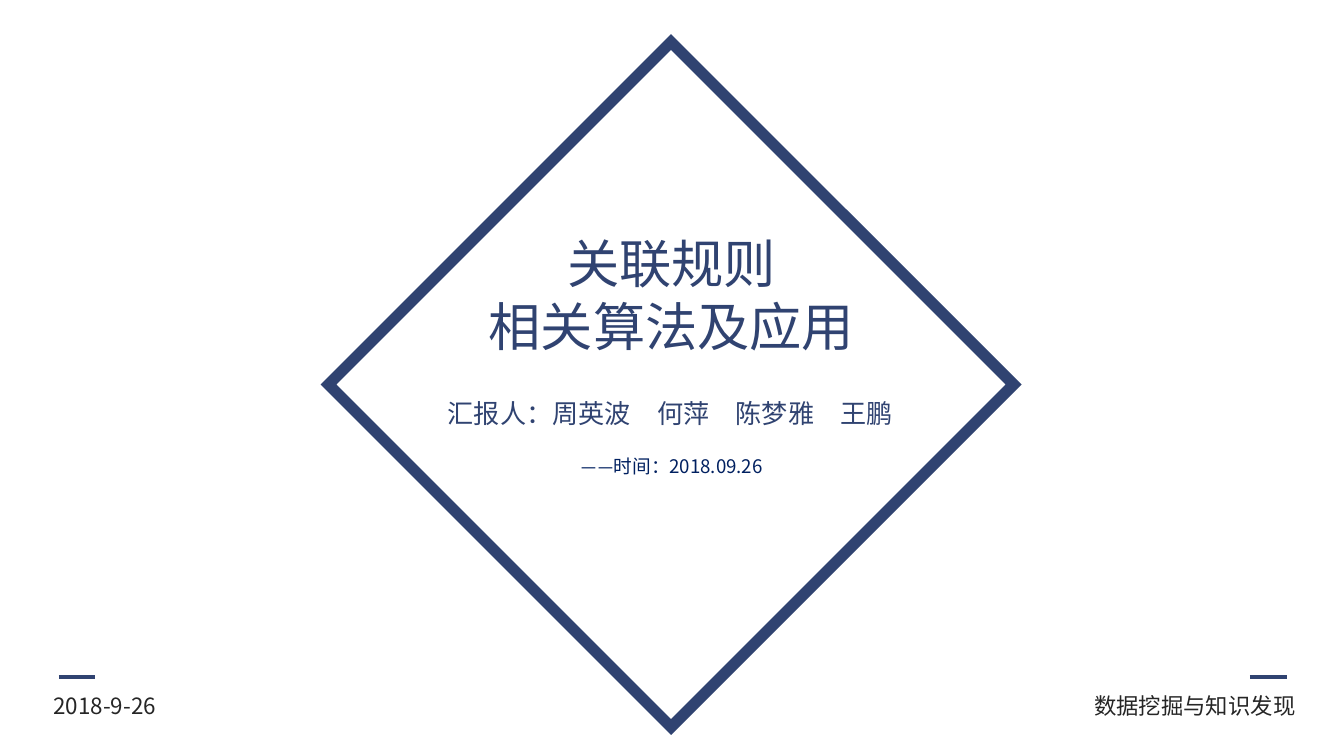
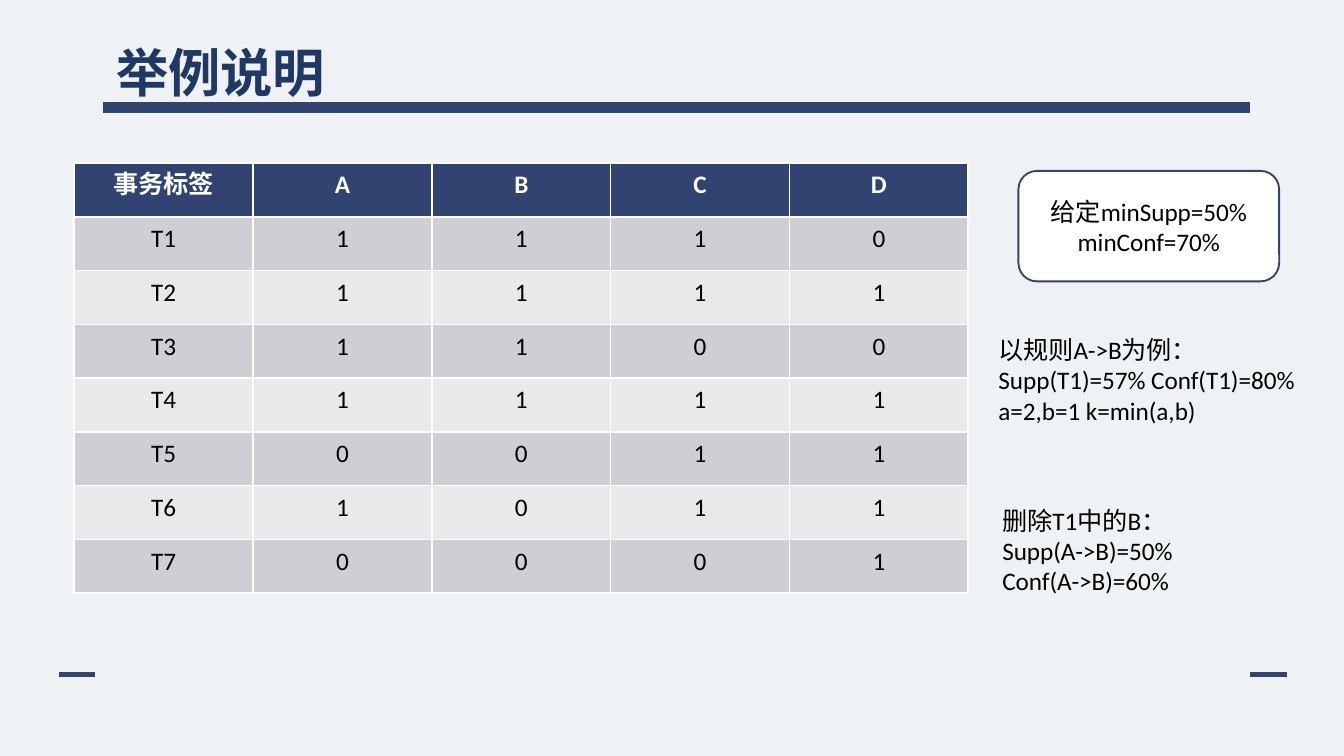
from lxml.etree import SubElement
from pptx import Presentation
from pptx.dml.color import RGBColor
from pptx.enum.shapes import MSO_CONNECTOR, MSO_SHAPE
from pptx.enum.text import MSO_ANCHOR, PP_ALIGN
from pptx.oxml.ns import qn
from pptx.util import Pt

COLORS = {
    "navy": "304371", "heading": "203864", "date": "002060", "footer": "262626",
    "black": "000000", "white": "FFFFFF", "pale": "EEF2F5",
    "odd_row": "CDCFD5", "even_row": "E8E9EB",
}
COLORS = {name: RGBColor.from_string(value) for name, value in COLORS.items()}
CJK, LATIN = "Noto Sans CJK SC", "Calibri"
LEFT, CENTER, RIGHT = PP_ALIGN.LEFT, PP_ALIGN.CENTER, PP_ALIGN.RIGHT


def write(frame, paragraphs, size, color, font=LATIN, align=LEFT, bold=False, wrap=True):
    frame.word_wrap = wrap
    for number, lines in enumerate(paragraphs):
        paragraph = frame.add_paragraph() if number else frame.paragraphs[0]
        paragraph.alignment = align
        for line_number, line in enumerate(lines.split("\n")):
            if line_number:
                paragraph.add_line_break()
            run = paragraph.add_run()
            run.text = line
            run.font.size = Pt(size)
            run.font.name = font
            run.font.bold = bold
            run.font.color.rgb = COLORS[color]
            SubElement(run.font._element, qn("a:ea"), typeface=LATIN)
    return frame


def rule(slide, left, right, y, weight):
    line = slide.shapes.add_connector(
        MSO_CONNECTOR.STRAIGHT, Pt(left), Pt(y), Pt(right), Pt(y))
    line.line.color.rgb = COLORS["navy"]
    line.line.width = Pt(weight)
    SubElement(line._element.spPr, qn("a:effectLst"))


presentation = Presentation()
presentation.slide_width = Pt(720)
presentation.slide_height = Pt(405)
blank = presentation.slide_layouts[6]
cover = presentation.slides.add_slide(blank)
example = presentation.slides.add_slide(blank)

for slide, background, footer_y in ((cover, "white", 362.9), (example, "pale", 361.4)):
    slide.background.fill.solid()
    slide.background.fill.fore_color.rgb = COLORS[background]
    rule(slide, 31.5, 51, footer_y, 2.25)
    rule(slide, 669.6, 689.6, footer_y, 2.25)

diamond = cover.shapes.add_shape(MSO_SHAPE.DIAMOND, Pt(176), Pt(22.5), Pt(367), Pt(367))
diamond.shadow.inherit = False
diamond.fill.background()
diamond.line.color.rgb = COLORS["navy"]
diamond.line.width = Pt(6)
SubElement(diamond._element.spPr.find(qn("a:ln")), qn("a:miter"), lim="800000")

cover_texts = [
    ((253.5, 103.7, 212.4, 92.2), ["关联规则", "相关算法及应用"], 28, "navy", CJK, CENTER, False, 1.5),
    ((195.8, 209.5, 326.9, 24.5), ["汇报人：周英波　何萍　陈梦雅　王鹏"], 14, "navy", "Arial", CENTER, True, 1),
    ((233.3, 234, 252.7, 23), ["——时间：2018.09.26"], 10, "date", CJK, CENTER, True, 1.5),
    ((21.6, 367.2, 74.9, 21.6), ["2018-9-26"], 12, "footer", CJK, LEFT, False, 1),
    ((577.4, 367.2, 123.8, 21.6), ["数据挖掘与知识发现"], 12, "footer", CJK, RIGHT, False, 1),
]
for box, paragraphs, size, color, font, align, wrap, spacing in cover_texts:
    frame = cover.shapes.add_textbox(*map(Pt, box)).text_frame
    write(frame, paragraphs, size, color, font, align, wrap=wrap)
    frame.paragraphs[0].line_spacing = spacing

rule(example, 55.2, 669.6, 57.6, 6)
heading = example.shapes.add_textbox(Pt(55.2), Pt(18), Pt(257.8), Pt(41))
write(heading.text_frame, ["举例说明"], 28, "heading", bold=True)

transactions = [
    ["事务标签", "A", "B", "C", "D"],
    ["T1", 1, 1, 1, 0],
    ["T2", 1, 1, 1, 1],
    ["T3", 1, 1, 0, 0],
    ["T4", 1, 1, 1, 1],
    ["T5", 0, 0, 1, 1],
    ["T6", 1, 0, 1, 1],
    ["T7", 0, 0, 0, 1],
]
table = example.shapes.add_table(
    len(transactions), 5, Pt(39.8), Pt(87.4), Pt(479), Pt(230.4)).table
for row_number, transaction in enumerate(transactions):
    header = row_number == 0
    fill = "navy" if header else "odd_row" if row_number % 2 else "even_row"
    for column, value in enumerate(transaction):
        cell = table.cell(row_number, column)
        cell.fill.solid()
        cell.fill.fore_color.rgb = COLORS[fill]
        write(cell.text_frame, [str(value)], 13.5,
              "white" if header else "black", align=CENTER, bold=header)

thresholds = example.shapes.add_shape(
    MSO_SHAPE.ROUNDED_RECTANGLE, Pt(545.6), Pt(91.6), Pt(139.7), Pt(59.2))
thresholds.shadow.inherit = False
thresholds.fill.solid()
thresholds.fill.fore_color.rgb = COLORS["white"]
thresholds.line.color.rgb = COLORS["navy"]
thresholds.line.width = Pt(1)
thresholds.text_frame.vertical_anchor = MSO_ANCHOR.MIDDLE
write(thresholds.text_frame, ["给定minSupp=50%", "minConf=70%"], 13.5, "black", align=CENTER)

explanations = [
    ((527.8, 175.7, 188.6, 56.2),
     ["以规则A->B为例：", "Supp(T1)=57% Conf(T1)=80%\na=2,b=1 k=min(a,b)"]),
    ((529.9, 267.1, 127.4, 56.2),
     ["删除T1中的B：", "Supp(A->B)=50%", "Conf(A->B)=60%"]),
]
for box, paragraphs in explanations:
    write(example.shapes.add_textbox(*map(Pt, box)).text_frame, paragraphs, 13.5, "black")

presentation.save("out.pptx")
